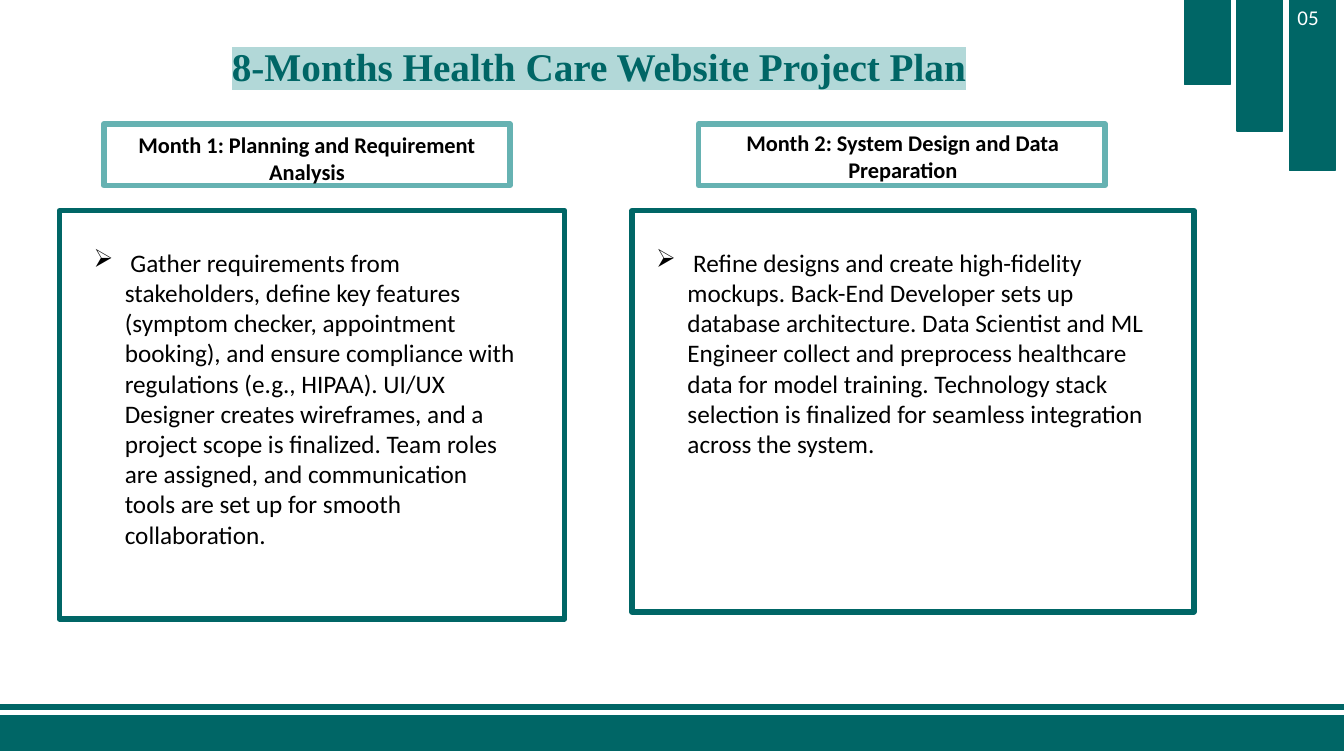
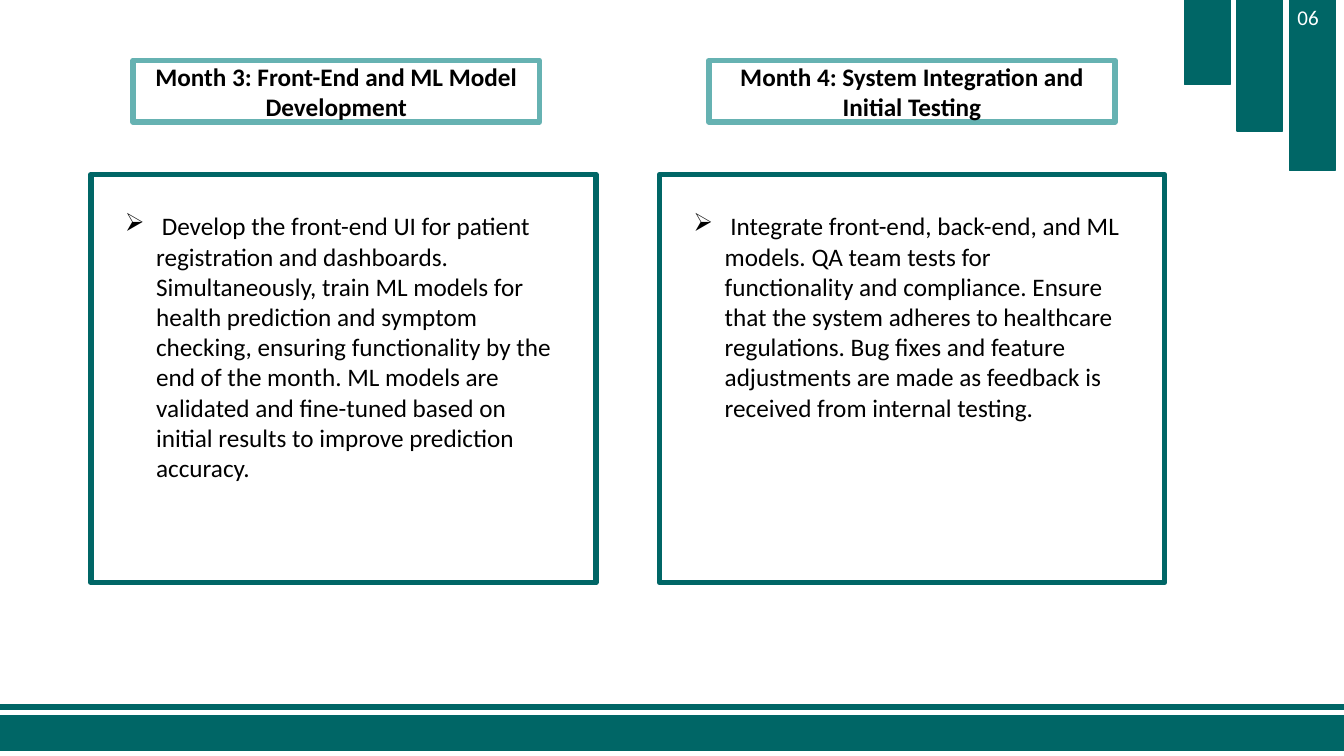
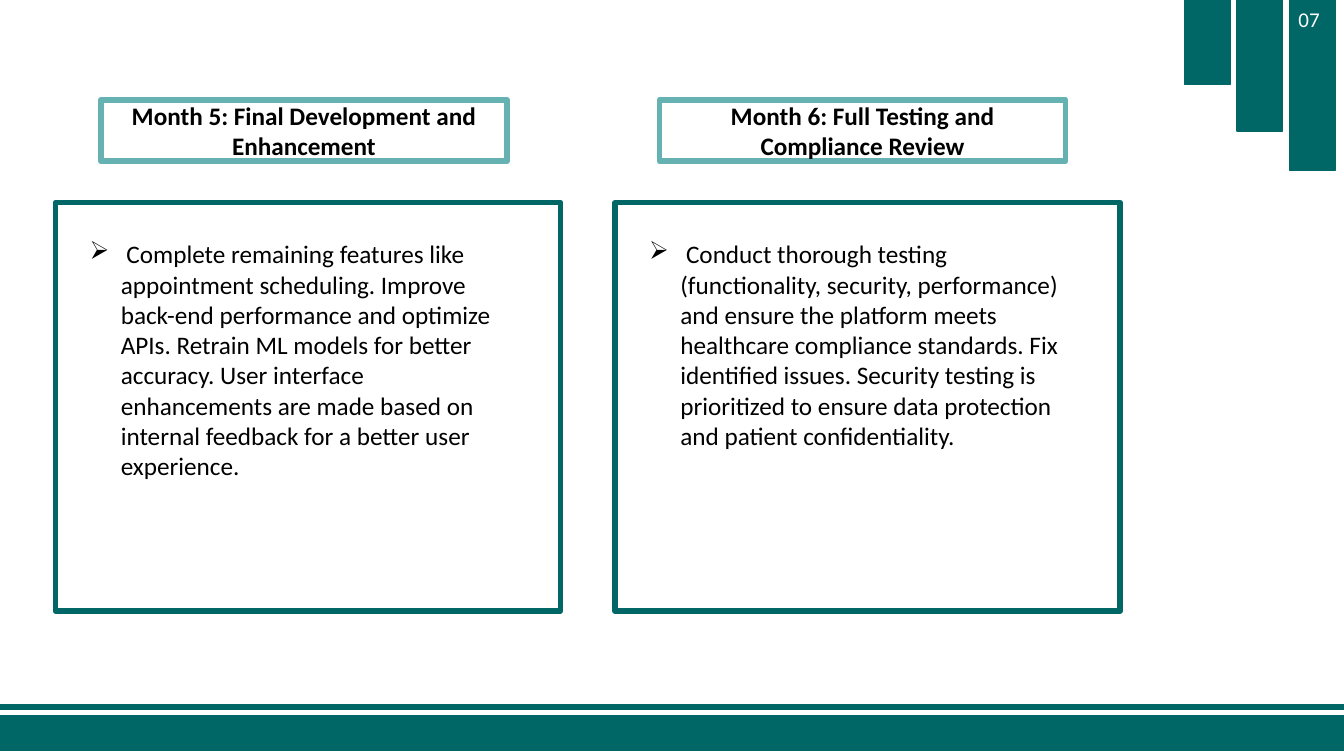
from lxml.etree import SubElement
from pptx import Presentation
from pptx.dml.color import RGBColor
from pptx.enum.shapes import MSO_SHAPE
from pptx.enum.text import MSO_ANCHOR, PP_ALIGN
from pptx.oxml import parse_xml
from pptx.oxml.ns import nsdecls, qn
from pptx.util import Inches, Pt

TEAL = RGBColor(0x00, 0x66, 0x66)
LIGHT_TEAL = RGBColor(0x66, 0xB2, 0xB2)
PALE_TEAL = RGBColor(0xB2, 0xD8, 0xD8)
WHITE = RGBColor(0xFF, 0xFF, 0xFF)
BLACK = RGBColor(0x00, 0x00, 0x00)
BODY_FONT = "Calibri"
TITLE_FONT = "Times New Roman"

LABEL_WIDTH, LABEL_HEIGHT = 4.03, 0.61
CARD_WIDTH, CARD_HEIGHT = 5.01, 4.05


class PlanDeck:
    """Style of the project plan and the slide being built."""

    def __init__(self):
        self.presentation = Presentation()
        self.presentation.slide_width = Inches(13.33)
        self.presentation.slide_height = Inches(7.5)
        self.slide = None

    def add_slide(self, number, number_at):
        layout = self.presentation.slide_layouts[6]
        self.slide = self.presentation.slides.add_slide(layout)
        for index, height in enumerate((0.84, 1.3, 1.69)):
            self.box(11.75 + 0.52 * index, 0, 0.45, height, TEAL, TEAL, 1)
        for top, height in ((6.99, 0.05), (7.1, 0.34)):
            self.box(0, top, 13.33, height, TEAL, TEAL, 1)
        self.text(number, *number_at, 0.45, 0.35, size=15, color=WHITE)

    def box(self, left, top, width, height, fill, line, line_width):
        shape = self.slide.shapes.add_shape(
            MSO_SHAPE.RECTANGLE, Inches(left), Inches(top), Inches(width), Inches(height))
        shape.shadow.inherit = False
        shape.fill.solid()
        shape.fill.fore_color.rgb = fill
        shape.line.color.rgb = line
        shape.line.width = Pt(line_width)
        return shape

    def set_text(self, shape, text, size, color=BLACK, bold=False, font=BODY_FONT,
                 align=PP_ALIGN.LEFT, anchor=MSO_ANCHOR.TOP):
        """Put one styled paragraph in a shape and return it."""
        frame = shape.text_frame
        frame.word_wrap = True
        frame.vertical_anchor = anchor
        frame.text = text
        paragraph = frame.paragraphs[0]
        paragraph.alignment = align
        run_font = paragraph.runs[0].font
        run_font.name = font
        run_font.size = Pt(size)
        run_font.bold = bold
        run_font.color.rgb = color
        return paragraph

    def text(self, text, left, top, width, height, **style):
        shape = self.slide.shapes.add_textbox(
            Inches(left), Inches(top), Inches(width), Inches(height))
        return self.set_text(shape, text, **style)

    def title(self, text):
        paragraph = self.text(text, 0.19, 0.41, 11.5, 0.55, size=28, color=TEAL, bold=True,
                              font=TITLE_FONT, align=PP_ALIGN.CENTER, anchor=MSO_ANCHOR.MIDDLE)
        paragraph.line_spacing = 0.9
        highlight = parse_xml(
            f'<a:highlight {nsdecls("a")}><a:srgbClr val="{PALE_TEAL}"/></a:highlight>')
        properties = paragraph.runs[0]._r.get_or_add_rPr()
        properties.find(qn("a:solidFill")).addnext(highlight)

    def label(self, left, top):
        return self.box(left, top, LABEL_WIDTH, LABEL_HEIGHT, WHITE, LIGHT_TEAL, 4)

    def month_label(self, text, left, top):
        self.set_text(self.label(left, top), text, 18, bold=True,
                      align=PP_ALIGN.CENTER, anchor=MSO_ANCHOR.MIDDLE)

    def overlaid_label(self, text, left, top, text_at, text_width):
        """Label whose smaller heading sits in a text box of its own."""
        self.label(left, top)
        self.text(text, *text_at, text_width, 0.65, size=16, bold=True, align=PP_ALIGN.CENTER)

    def card(self, text, left, top, width=CARD_WIDTH, height=CARD_HEIGHT,
             indent=0.24, text_width=4.44):
        self.box(left, top, width, height, WHITE, TEAL, 4)
        paragraph = self.text(text, left + indent, top + 0.31, text_width, 2.5, size=18)
        properties = paragraph._p.get_or_add_pPr()
        properties.set("marL", str(Inches(0.31)))
        properties.set("indent", str(-Inches(0.31)))
        SubElement(properties, qn("a:buChar")).set("char", "➢")


def main():
    deck = PlanDeck()

    deck.add_slide("05", (12.77, 0))
    deck.card(" Gather requirements from stakeholders, define key features (symptom checker, "
              "appointment booking), and ensure compliance with regulations (e.g., HIPAA). "
              "UI/UX Designer creates wireframes, and a project scope is finalized. Team roles "
              "are assigned, and communication tools are set up for smooth collaboration.",
              0.59, 2.09)
    deck.card(" Refine designs and create high-fidelity mockups. Back-End Developer sets up "
              "database architecture. Data Scientist and ML Engineer collect and preprocess "
              "healthcare data for model training. Technology stack selection is finalized "
              "for seamless integration across the system.",
              6.27, 2.09, width=5.57, height=3.98, indent=0.14, text_width=5.29)
    deck.overlaid_label("Month 1: Planning and Requirement Analysis",
                        1.03, 1.23, (1.24, 1.25), 3.61)
    deck.overlaid_label("Month 2: System Design and Data Preparation",
                        6.93, 1.23, (7.28, 1.23), 3.35)
    deck.title("8-Months Health Care Website Project Plan")

    deck.add_slide("06", (12.77, 0))
    deck.month_label("Month 3: Front-End and ML Model Development", 1.32, 0.6)
    deck.month_label("Month 4: System Integration and Initial Testing", 7.03, 0.6)
    deck.card(" Develop the front-end UI for patient registration and dashboards. "
              "Simultaneously, train ML models for health prediction and symptom checking, "
              "ensuring functionality by the end of the month. ML models are validated and "
              "fine-tuned based on initial results to improve prediction accuracy.",
              0.9, 1.73)
    deck.card(" Integrate front-end, back-end, and ML models. QA team tests for functionality "
              "and compliance. Ensure that the system adheres to healthcare regulations. Bug "
              "fixes and feature adjustments are made as feedback is received from internal "
              "testing.",
              6.54, 1.73)

    deck.add_slide("07", (12.78, 0.02))
    deck.month_label("Month 5: Final Development and Enhancement", 1, 0.99)
    deck.month_label("Month 6: Full Testing and Compliance Review", 6.54, 0.99)
    deck.card(" Complete remaining features like appointment scheduling. Improve back-end "
              "performance and optimize APIs. Retrain ML models for better accuracy. User "
              "interface enhancements are made based on internal feedback for a better user "
              "experience.",
              0.55, 2.01)
    deck.card(" Conduct thorough testing (functionality, security, performance) and ensure the "
              "platform meets healthcare compliance standards. Fix identified issues. Security "
              "testing is prioritized to ensure data protection and patient confidentiality.",
              6.1, 2.01)

    deck.presentation.save("out.pptx")


if __name__ == "__main__":
    main()
